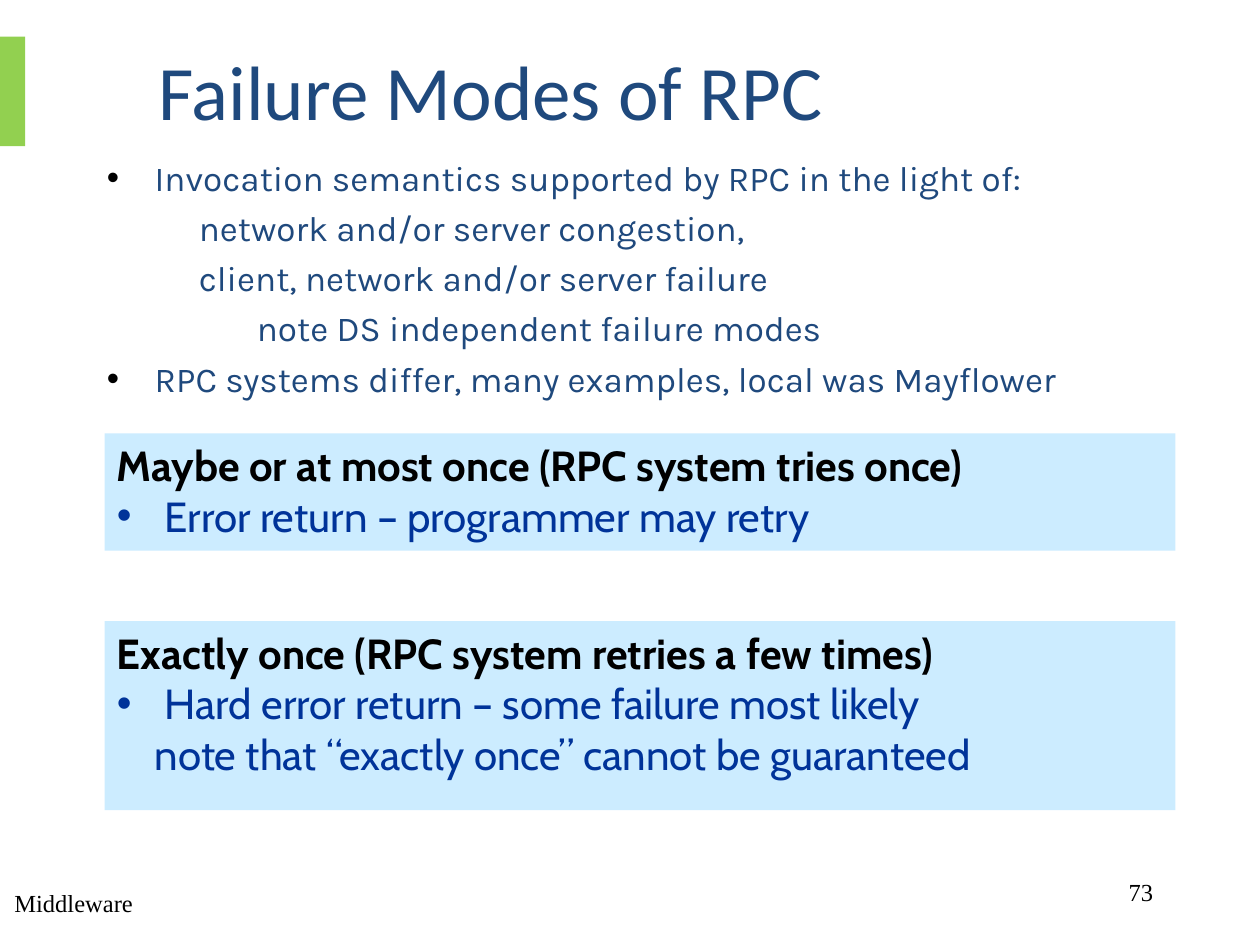
from lxml import etree
from pptx import Presentation
from pptx import util as u
from pptx.dml.color import RGBColor
from pptx.enum import shapes, text
from pptx.oxml.ns import qn

GREEN = RGBColor(0x92, 0xD0, 0x50)
PALE_BLUE = RGBColor(0xCC, 0xEC, 0xFF)
NAVY = RGBColor(0x1F, 0x49, 0x7D)
BLUE = RGBColor(0x00, 0x33, 0x99)
BLACK = RGBColor(0, 0, 0)

HANG = 0.38
BODY = [
    ("Invocation semantics supported by RPC in the light of:", HANG, True),
    ("network and/or server congestion,", 0.73, False),
    ("client, network and/or server failure", 0.73, False),
    ("note DS independent failure modes", 1.19, False),
    ("RPC systems differ, many examples, local was Mayflower", HANG, True),
]
PANELS = [
    (4.93, 1.5, "Exactly once (RPC system retries a few times)", [
        ("Hard error return – some failure most likely", HANG, True),
        ("note that “exactly once” cannot be guaranteed", 0.3, False),
    ]),
    (3.44, 0.93, "Maybe or at most once (RPC system tries once)", [
        ("Error return – programmer may retry", HANG, True),
    ]),
]


def add_run(p, words, font, size, color, bold=False):
    r = p.add_run()
    r.text = words
    r.font.name = font
    r.font.size = u.Pt(size)
    r.font.color.rgb = color
    r.font.bold = bold


def set_indent(p, margin, bullet, color):
    pPr = p._p.get_or_add_pPr()
    pPr.set("marL", str(u.Inches(margin)))
    pPr.set("indent", str(-u.Inches(HANG) if bullet else 0))
    if bullet:
        clr = etree.SubElement(pPr, qn("a:buClr"))
        etree.SubElement(clr, qn("a:srgbClr")).set("val", str(color))
        etree.SubElement(pPr, qn("a:buFont")).set("typeface", "Arial")
        etree.SubElement(pPr, qn("a:buChar")).set("char", "•")


def add_rect(s, x, y, w, h, color):
    sp = s.shapes.add_shape(shapes.MSO_SHAPE.RECTANGLE, u.Inches(x),
                            u.Inches(y), u.Inches(w), u.Inches(h))
    sp.shadow.inherit = False
    sp.fill.solid()
    sp.fill.fore_color.rgb = color
    sp.line.fill.background()
    return sp


def add_text_box(s, x, y, w, h, anchor=text.MSO_ANCHOR.MIDDLE):
    sp = s.shapes.add_textbox(u.Inches(x), u.Inches(y), u.Inches(w), u.Inches(h))
    tf = sp.text_frame
    tf.word_wrap = True
    tf.vertical_anchor = anchor
    return tf


def add_label(s, box, words, font, size, color, align):
    p = add_text_box(s, *box).paragraphs[0]
    p.alignment = align
    add_run(p, words, font, size, color)


def add_body(s):
    tf = add_text_box(s, 0.75, 1.19, 8.5, 2.03, text.MSO_ANCHOR.TOP)
    for i, (words, margin, bullet) in enumerate(BODY):
        p = tf.add_paragraph() if i else tf.paragraphs[0]
        if i:
            p.space_before = u.Pt(4.7)
        set_indent(p, margin, bullet, BLACK)
        add_run(p, words, "Karla", 20, NAVY)


def add_panel(s, y, h, heading, lines):
    tf = add_rect(s, 0.83, y, 8.5, h, PALE_BLUE).text_frame
    tf.word_wrap = True
    tf.vertical_anchor = text.MSO_ANCHOR.TOP
    p = tf.paragraphs[0]
    p.alignment = text.PP_ALIGN.LEFT
    add_run(p, heading, "Cabin", 24, BLACK, True)
    for words, margin, bullet in lines:
        p = tf.add_paragraph()
        p.alignment = text.PP_ALIGN.LEFT
        set_indent(p, margin, bullet, BLUE)
        add_run(p, words, "Cabin", 24, BLUE)


def main():
    prs = Presentation()
    prs.slide_width, prs.slide_height = u.Inches(10), u.Inches(7.5)
    s = prs.slides.add_slide(prs.slide_layouts[6])
    center, right = text.PP_ALIGN.CENTER, text.PP_ALIGN.RIGHT
    add_rect(s, 0, 0.29, 0.2, 0.87, GREEN)
    add_label(s, (7.17, 6.83, 2.08, 0.5), "73", "Times New Roman", 14, BLACK, right)
    add_label(s, (0.35, 0.29, 7.09, 0.85), "Failure Modes of RPC", "Calibri", 44, NAVY, center)
    add_body(s)
    for panel in PANELS:
        add_panel(s, *panel)
    add_label(s, (0, 7.03, 1.17, 0.27), "Middleware", "Times New Roman", 14, BLACK, center)
    prs.save("out.pptx")


if __name__ == "__main__":
    main()
